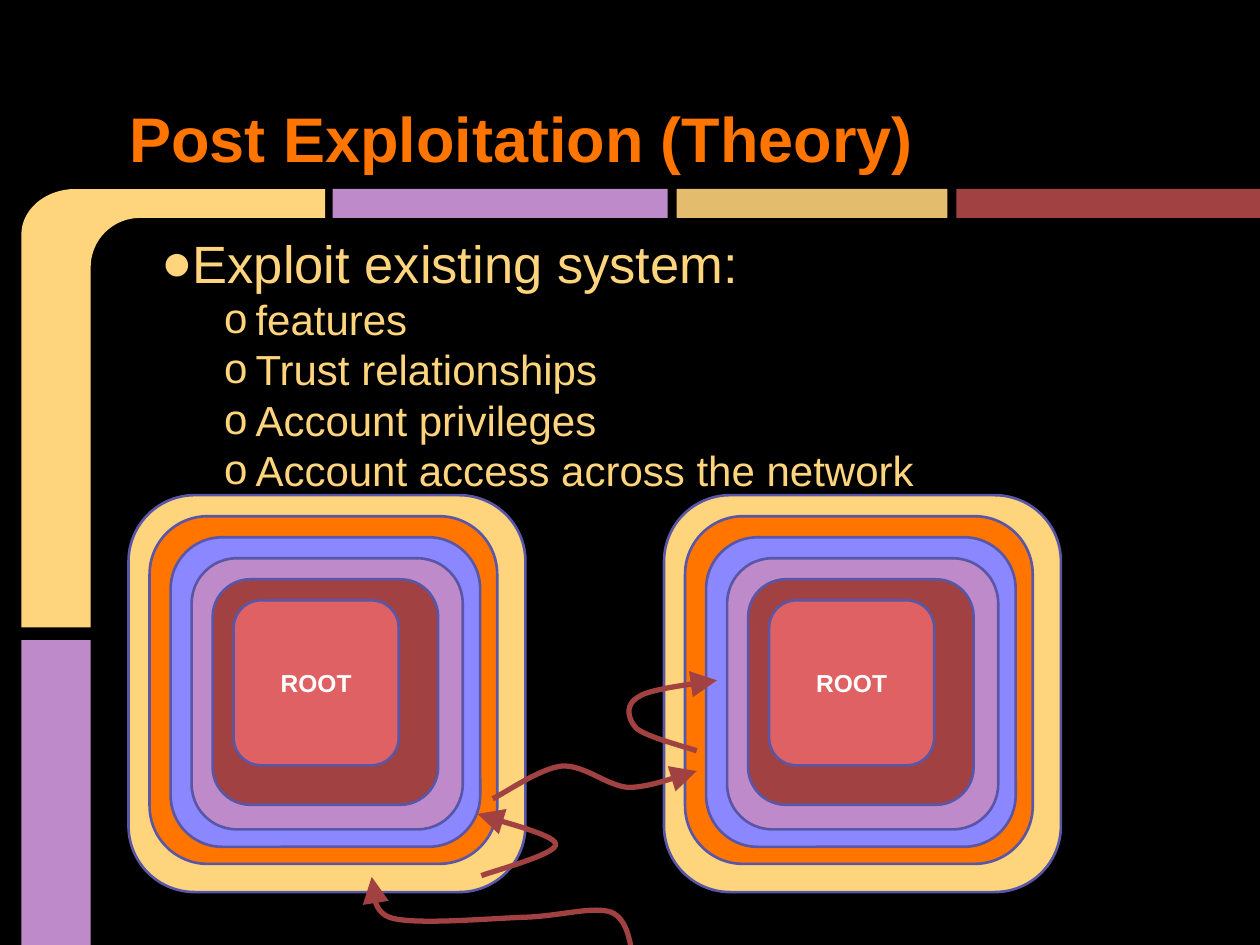
from dataclasses import dataclass
from math import cos, pi, sin

from lxml.etree import SubElement
from pptx import Presentation
from pptx.dml.color import RGBColor
from pptx.enum.shapes import MSO_SHAPE as Preset
from pptx.enum.text import MSO_ANCHOR as Anchor, PP_ALIGN as Align
from pptx.oxml.ns import qn
from pptx.util import Inches, Pt

UNIT = Inches(0.1)


@dataclass(frozen=True)
class Theme:
    """Colours, font and sizes of the deck."""
    font: str = "Arial"
    ground: str = "000000"
    sand: str = "FED47D"
    lilac: str = "BF8AC9"
    ochre: str = "E3BC6D"
    brick: str = "A14141"
    orange: str = "FF7500"
    violet: str = "8B87FF"
    coral: str = "E06163"
    outline: str = "5956A7"
    white: str = "FFFFFF"
    title_size: int = 36
    point_size: int = 30
    detail_size: int = 24
    core_size: int = 14
    outline_width: float = 1.5
    route_width: float = 3


@dataclass(frozen=True)
class Box:
    """A region in columns and rows of a 100 by 75 grid."""
    left: float
    top: float
    width: float
    height: float

    def emu(self):
        """Return the region in EMU for python-pptx."""
        return [round(v * UNIT) for v in (self.left, self.top, self.width, self.height)]

    def inner(self, left, top, width, height):
        """Return a region offset from this one's corner."""
        return Box(self.left + left, self.top + top, width, height)

    def points(self, pairs):
        """Return offsets from the corner as EMU points."""
        return [(round((self.left + x) * UNIT), round((self.top + y) * UNIT)) for x, y in pairs]


THEME = Theme()


def rgb(colour):
    """Turn a hex string into a colour."""
    return RGBColor.from_string(colour)


def paint(part, colour):
    """Give a part a flat fill without line or shadow."""
    part.shadow.inherit = False
    part.fill.solid()
    part.fill.fore_color.rgb = rgb(colour)
    part.line.fill.background()


def style(paragraph, size, colour, bold=False):
    """Format every run of a paragraph."""
    for run in paragraph.runs:
        run.font.name, run.font.size, run.font.bold = THEME.font, Pt(size), bold
        run.font.color.rgb = rgb(colour)


def set_insets(frame):
    """Give a text frame equal margins and wrapping."""
    frame.word_wrap = True
    frame.margin_left = frame.margin_right = frame.margin_top = frame.margin_bottom = UNIT


def add_bullet(paragraph, mark, indent):
    """Hang a coloured bullet before a paragraph."""
    properties = paragraph._p.get_or_add_pPr()
    properties.set("marL", str(Inches(indent)))
    properties.set("indent", str(Inches(-0.25)))
    colour = SubElement(properties, qn("a:buClr"))
    SubElement(colour, qn("a:srgbClr"), val=THEME.sand)
    SubElement(properties, qn("a:buFont"), typeface=THEME.font)
    SubElement(properties, qn("a:buChar"), char=mark)


def draw_path(shapes, points, close):
    """Draw a freeform through EMU points."""
    builder = shapes.build_freeform(*points[0], scale=1.0)
    builder.add_line_segments(points[1:], close=close)
    return builder.convert_to_shape()


def arc(centre, radii, start, end, steps=32):
    """Return points on an elliptical arc."""
    angles = [start + (end - start) * i / steps for i in range(steps + 1)]
    return [(centre[0] + radii[0] * cos(a), centre[1] - radii[1] * sin(a)) for a in angles]


def curve(knots, steps=16):
    """Return points on a chain of cubic Bézier curves."""
    trail = [knots[0]]
    for first in range(0, len(knots) - 1, 3):
        quad = knots[first:first + 4]
        for i in range(1, steps + 1):
            t = i / steps
            weights = ((1 - t) ** 3, 3 * t * (1 - t) ** 2, 3 * t * t * (1 - t), t ** 3)
            trail.append(tuple(sum(w * p[axis] for w, p in zip(weights, quad))
                               for axis in (0, 1)))
    return trail


def add_frame(shapes, box):
    """Draw the rounded corner, side bar and top bars."""
    bar, side = 2.3, 5.5
    corner = [(0, 34.8), *arc((4.3, 3.6), (4.3, 3.6), pi, pi / 2), (24.1, 0), (24.1, bar),
              *arc((9.4, 6.2), (3.9, 3.9), pi / 2, pi), (side, 34.8)]
    paint(draw_path(shapes, box.points(corner), True), THEME.sand)
    bars = [(0, 35.8, side, box.height - 35.8, THEME.lilac),
            (24.7, 0, 26.6, bar, THEME.lilac),
            (52, 0, 21.5, bar, THEME.ochre),
            (74.2, 0, box.width - 74.2, bar, THEME.brick)]
    for *place, colour in bars:
        paint(shapes.add_shape(Preset.RECTANGLE, *box.inner(*place).emu()), colour)


def add_title(shapes, box):
    """Set the heading at the foot of its box."""
    frame = shapes.add_textbox(*box.emu()).text_frame
    set_insets(frame)
    frame.vertical_anchor = Anchor.BOTTOM
    frame.text = "Post Exploitation (Theory)"
    style(frame.paragraphs[0], THEME.title_size, THEME.orange, True)


def add_points(shapes, box):
    """List the main point and its details."""
    frame = shapes.add_textbox(*box.emu()).text_frame
    set_insets(frame)
    frame.text = "\n".join(["Exploit existing system:", "features", "Trust relationships",
                            "Account privileges", "Account access across the network"])
    for index, paragraph in enumerate(frame.paragraphs):
        detail = index > 0
        paragraph.level = int(detail)
        paragraph.space_before = Pt(0 if detail else 2.5)
        add_bullet(paragraph, "o" if detail else "●", 1 if detail else 0.5)
        style(paragraph, THEME.detail_size if detail else THEME.point_size, THEME.sand)


def add_system(shapes, box):
    """Nest the privilege layers of one system around its root."""
    step = box.width * 0.053
    layers = [(1, THEME.sand), (0.876, THEME.orange), (0.78, THEME.violet),
              (0.683, THEME.lilac), (0.568, THEME.brick), (0.416, THEME.coral)]
    for depth, (share, colour) in enumerate(layers):
        place = box.inner(depth * step, depth * step, box.width * share, box.height * share)
        layer = shapes.add_shape(Preset.ROUNDED_RECTANGLE, *place.emu())
        paint(layer, colour)
        layer.line.color.rgb = rgb(THEME.outline)
        layer.line.width = Pt(THEME.outline_width)
    core = layer.text_frame
    set_insets(core)
    core.vertical_anchor = Anchor.MIDDLE
    core.text = "ROOT"
    core.paragraphs[0].alignment = Align.CENTER
    style(core.paragraphs[0], THEME.core_size, THEME.white, True)


def add_routes(shapes, box):
    """Draw the attack routes between layers and systems."""
    routes = [
        [(9.2, 15.5), (10.2, 15.1), (15.2, 13.8), (15.1, 13), (15.1, 12.2), (9.9, 11), (8.9, 10.6)],
        [(10.1, 9.4), (11, 9), (13.8, 7), (15.6, 6.8), (17.4, 6.7), (19.2, 8.4), (20.9, 8.5),
         (22.7, 8.5), (25.4, 7.4), (26.3, 7.2)],
        [(26.3, 5.6), (25.5, 5.3), (22.3, 4.5), (21.5, 3.8), (20.8, 3), (20.6, 1.9), (21.7, 1.3),
         (22.7, 0.6), (26.9, 0.2), (27.9, 0)],
        [(21.3, 22), (21, 21.4), (21, 19), (19.5, 18.4), (18.1, 17.9), (15.5, 18.7), (12.7, 18.8),
         (9.8, 18.9), (4.3, 19.4), (2.2, 18.9), (0.2, 18.4), (0.8, 16.1), (0.5, 15.6)]]
    for knots in routes:
        route = draw_path(shapes, box.points(curve(knots)), False)
        route.shadow.inherit = False
        route.fill.background()
        route.line.color.rgb = rgb(THEME.brick)
        route.line.width = Pt(THEME.route_width)
        SubElement(route.line._get_or_add_ln(), qn("a:tailEnd"), type="triangle", w="lg", len="lg")


def main():
    """Build and save the slide."""
    deck = Presentation()
    deck.slide_width, deck.slide_height = 100 * UNIT, 75 * UNIT
    slide = deck.slides.add_slide(deck.slide_layouts[6])
    slide.background.fill.solid()
    slide.background.fill.fore_color.rgb = rgb(THEME.ground)
    shapes = slide.shapes
    add_frame(shapes, Box(1.7, 15, 98.3, 60))
    add_points(shapes, Box(9.3, 17.3, 85.6, 54.6))
    add_title(shapes, Box(9.3, 2.4, 85.6, 12.5))
    for left in (52.7, 10.2):
        add_system(shapes, Box(left, 39.3, 31.5, 31.5))
    add_routes(shapes, Box(29, 54, 28, 22))
    deck.save("out.pptx")


if __name__ == "__main__":
    main()
